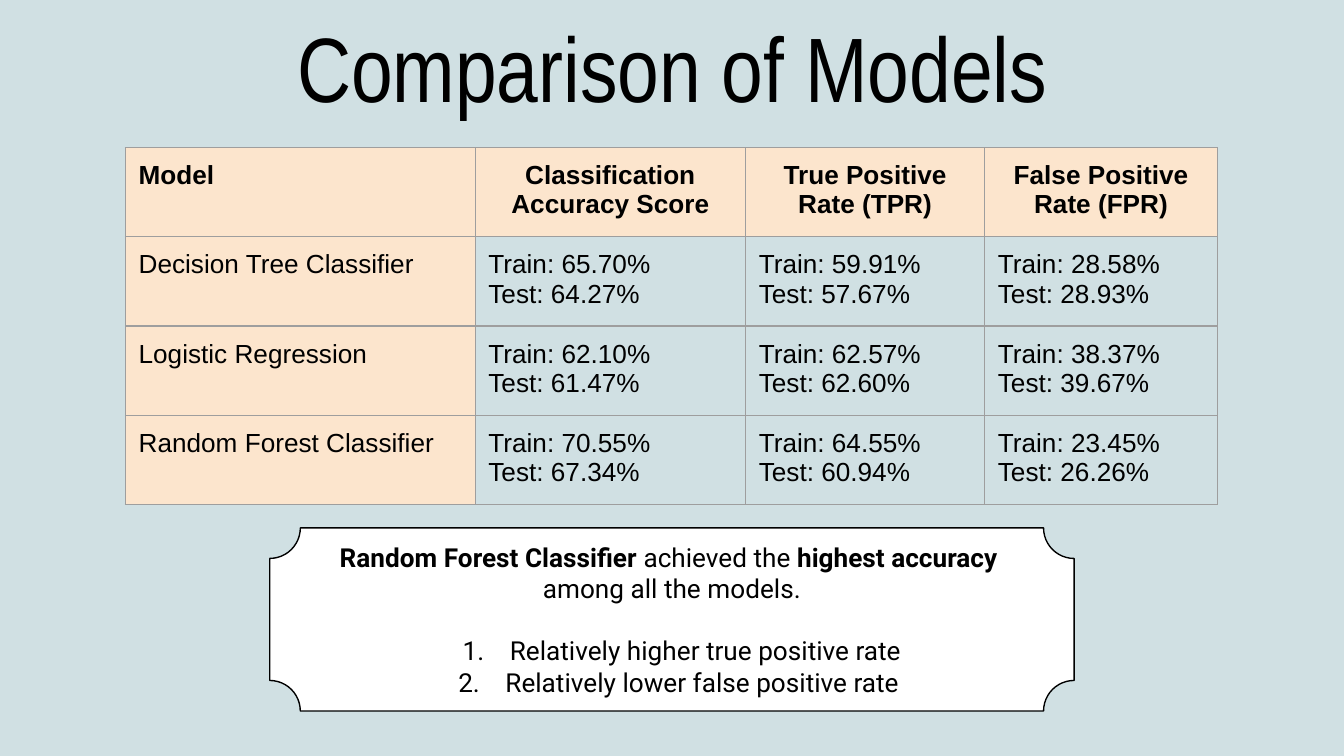
from pptx import Presentation
from pptx.dml.color import RGBColor
from pptx.enum.shapes import MSO_SHAPE
from pptx.enum.text import MSO_ANCHOR, PP_ALIGN
from pptx.oxml import parse_xml
from pptx.oxml.ns import nsdecls
from pptx.util import Cm, Pt


def tint(code):
    """Turn a hex string into a colour."""
    return RGBColor.from_string(code)


class Deck:
    """Holds the style and the current slide."""

    ink, back, peach, grey, white = "000000", "D0E0E3", "FCE5CD", "9E9E9E", "FFFFFF"
    pad = Cm(0.25)

    def __init__(self):
        """Open a deck with one blank slide."""
        self.deck = Presentation()
        self.deck.slide_width, self.deck.slide_height = Cm(25.4), Cm(14.29)
        self.slide = self.deck.slides.add_slide(self.deck.slide_layouts[6])
        fill = self.slide.background.fill
        fill.solid()
        fill.fore_color.rgb = tint(self.back)

    def style(self, run, face, size=14, bold=False):
        """Set the font of a run."""
        font = run.font
        font.name, font.size, font.bold = face, Pt(size), bold
        font.color.rgb = tint(self.ink)

    def frame(self, frame):
        """Set padding, wrapping and middle anchor of a text frame."""
        frame.word_wrap = True
        frame.vertical_anchor = MSO_ANCHOR.MIDDLE
        frame.margin_left = frame.margin_right = self.pad
        frame.margin_top = frame.margin_bottom = self.pad

    def title(self, text, *box):
        """Add the centred heading."""
        frame = self.slide.shapes.add_textbox(*map(Cm, box)).text_frame
        self.frame(frame)
        frame.text = text
        line = frame.paragraphs[0]
        line.alignment = PP_ALIGN.CENTER
        self.style(line.runs[0], "Arial Narrow", 49)

    def border(self, cell):
        """Draw the four borders of a cell."""
        props = cell._tc.get_or_add_tcPr()
        for spot, side in enumerate("LRTB"):
            props.insert(spot, parse_xml(
                f'<a:ln{side} {nsdecls("a")} w="{Pt(0.75)}"><a:solidFill>'
                f'<a:srgbClr val="{self.grey}"/></a:solidFill></a:ln{side}>'))

    def cell(self, cell, text, head, side):
        """Fill one table cell."""
        cell.margin_left = cell.margin_right = self.pad
        cell.margin_top = cell.margin_bottom = self.pad
        cell.text_frame.text = text
        for line in cell.text_frame.paragraphs:
            if head and not side:
                line.alignment = PP_ALIGN.CENTER
            self.style(line.runs[0], "Arial", bold=head)
        if head or side:
            cell.fill.solid()
            cell.fill.fore_color.rgb = tint(self.peach)
        else:
            cell.fill.background()
        self.border(cell)

    def table(self, rows, left, top, widths, high):
        """Add the table of scores."""
        grid = self.slide.shapes.add_table(
            len(rows), len(widths), Cm(left), Cm(top),
            Cm(sum(widths)), Cm(high * len(rows))).table
        grid.first_row = grid.horz_banding = False
        for col, wide in zip(grid.columns, widths):
            col.width = Cm(wide)
        for r, row in enumerate(rows):
            grid.rows[r].height = Cm(high)
            for c, text in enumerate(row):
                self.cell(grid.cell(r, c), text, r == 0, c == 0)

    def number(self, line):
        """Make a paragraph a numbered item."""
        props = line._p.get_or_add_pPr()
        props.set("marL", str(Cm(1.27)))
        props.set("indent", str(-Cm(0.89)))
        for part in (f'<a:buClr {nsdecls("a")}><a:srgbClr val="{self.ink}"/></a:buClr>',
                     f'<a:buAutoNum {nsdecls("a")} type="arabicPeriod"/>'):
            props.append(parse_xml(part))

    def plaque(self, intro, items, *box):
        """Add the plaque with an intro and a numbered list."""
        shape = self.slide.shapes.add_shape(MSO_SHAPE.PLAQUE, *map(Cm, box))
        shape.shadow.inherit = False
        shape.fill.solid()
        shape.fill.fore_color.rgb = tint(self.white)
        shape.line.color.rgb = tint(self.ink)
        shape.line.width = Pt(0.75)
        frame = shape.text_frame
        self.frame(frame)
        frame.text = "\n" * (len(intro) + len(items) - 1)
        lines = frame.paragraphs
        for line, parts in zip(lines, intro + [[(item, False)] for item in items]):
            line.alignment = PP_ALIGN.CENTER
            for text, bold in parts:
                run = line.add_run()
                run.text = text
                self.style(run, "Roboto", bold=bold)
        first = len(intro)
        lines[first].space_before = Pt(16.5)
        for line in lines[first:]:
            self.number(line)


def main():
    """Build the slide and save it."""
    deck = Deck()
    deck.title("Comparison of Models", 1.27, 0.81, 22.86, 0.89)
    scores = {
        "Decision Tree Classifier": [(65.70, 64.27), (59.91, 57.67), (28.58, 28.93)],
        "Logistic Regression": [(62.10, 61.47), (62.57, 62.60), (38.37, 39.67)],
        "Random Forest Classifier": [(70.55, 67.34), (64.55, 60.94), (23.45, 26.26)],
    }
    rows = [["Model", "Classification Accuracy Score",
             "True Positive Rate (TPR)", "False Positive Rate (FPR)"]]
    for name, pairs in scores.items():
        rows.append([name] + [f"Train: {a:.2f}%\nTest: {b:.2f}%" for a, b in pairs])
    deck.table(rows, 2.37, 2.79, [6.61, 5.11, 4.52, 4.4], 1.62)
    intro = [[("Random Forest Classifier ", True), ("achieved the ", False),
              ("highest accuracy ", True)], [("among all the models.", False)]]
    items = ["Relatively higher true positive rate",
             "Relatively lower false positive rate "]
    deck.plaque(intro, items, 5.1, 9.98, 15.2, 3.46)
    deck.deck.save("out.pptx")


if __name__ == "__main__":
    main()
